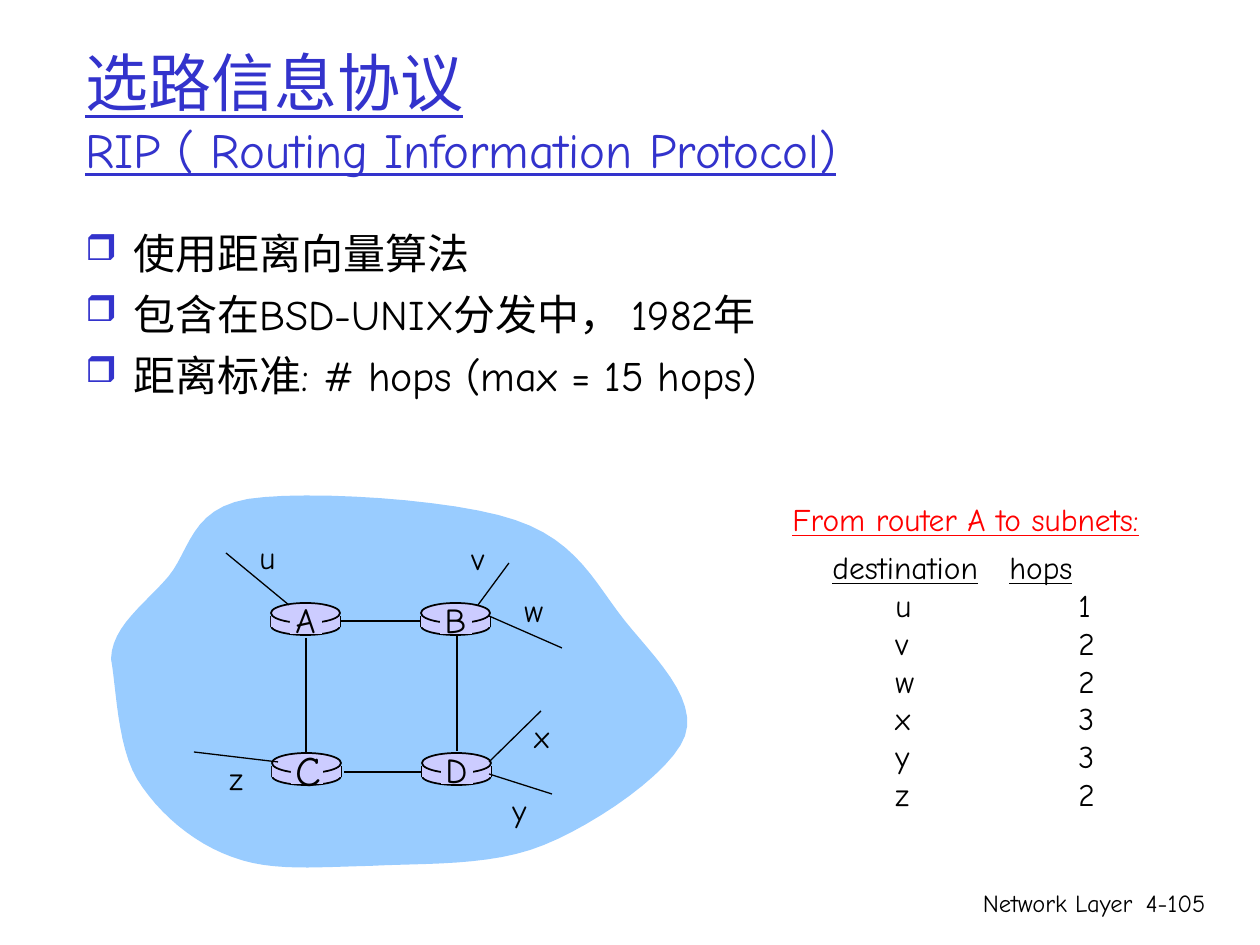
import dataclasses

import lxml.etree
import pptx
import pptx.dml.color
import pptx.enum.shapes
import pptx.enum.text
import pptx.oxml.ns
import pptx.util

SCALE = 914400 / 126
ALIGN = pptx.enum.text.PP_ALIGN
ANCHOR = pptx.enum.text.MSO_ANCHOR
SHAPE = pptx.enum.shapes.MSO_SHAPE
STRAIGHT = pptx.enum.shapes.MSO_CONNECTOR.STRAIGHT


@dataclasses.dataclass(frozen=True)
class Theme:
    """Colours, typeface and type sizes of the slide."""
    face: str = "Comic Neue"
    ink: str = "000000"
    accent: str = "3333CC"
    alert: str = "FF0000"
    cloud: str = "99CCFF"
    router: str = "CCCCFF"
    title: int = 36
    subtitle: int = 28
    body: int = 24
    node: int = 20
    label: int = 18
    footer: int = 14


THEME = Theme()


def px(*lengths):
    """Turn px lengths into a list of EMU."""
    return [pptx.util.Emu(round(length * SCALE)) for length in lengths]


def within(box, left, top, width, height):
    """Move a box given relative to another box onto the slide."""
    return box[0] + left, box[1] + top, width, height


def rgb(color):
    """Read a hexadecimal colour."""
    return pptx.dml.color.RGBColor.from_string(color)


def add_element(parent, tag, **attributes):
    """Append a DrawingML element with the given attributes."""
    return lxml.etree.SubElement(parent, pptx.oxml.ns.qn(tag), attributes)


def add_frame(slide, box, **values):
    """Add a wrapping text box and return its frame."""
    frame = slide.shapes.add_textbox(*px(*box)).text_frame
    for name, value in {"word_wrap": True, **values}.items():
        setattr(frame, name, value)
    return frame


def add_run(paragraph, text, size, color=THEME.ink, **values):
    """Add a formatted run to a paragraph."""
    run = paragraph.add_run()
    run.text = text
    settings = {"name": THEME.face, "size": pptx.util.Pt(size), **values}
    for name, value in settings.items():
        setattr(run.font, name, value)
    run.font.color.rgb = rgb(color)


def add_label(slide, box, text, size, alignment=ALIGN.LEFT, anchor=ANCHOR.TOP, **values):
    """Add a one-line label that does not wrap."""
    frame = add_frame(slide, box, word_wrap=False, vertical_anchor=anchor)
    frame.paragraphs[0].alignment = alignment
    add_run(frame.paragraphs[0], text, size, **values)


def add_line(slide, start, end, width):
    """Draw a straight line without a shadow."""
    line = slide.shapes.add_connector(STRAIGHT, *px(*start, *end))
    line.line.color.rgb = rgb(THEME.ink)
    line.line.width = pptx.util.Pt(width)
    add_element(line._element.spPr, "a:effectLst")


def paint(shape, color, outlined=False):
    """Fill a shape, with an outline if asked for."""
    shape.shadow.inherit = False
    shape.fill.solid()
    shape.fill.fore_color.rgb = rgb(color)
    if outlined:
        shape.line.color.rgb = rgb(THEME.ink)
        shape.line.width = pptx.util.Pt(1)
    else:
        shape.line.fill.background()


def add_title(slide, box):
    """Write the two-line underlined title."""
    paragraph = add_frame(slide, box, vertical_anchor=ANCHOR.MIDDLE).paragraphs[0]
    style = {"color": THEME.accent, "underline": True}
    add_run(paragraph, "选路信息协议", THEME.title, **style)
    paragraph.add_line_break()
    add_run(paragraph, "RIP ( Routing Information Protocol)", THEME.subtitle, **style)


def add_bullets(slide, box, items):
    """Write the bulleted list with hanging indents."""
    frame = add_frame(slide, box)
    hang = px(48)[0]
    for index, item in enumerate(items):
        paragraph = frame.add_paragraph() if index else frame.paragraphs[0]
        properties = paragraph._p.get_or_add_pPr()
        properties.set("marL", str(hang))
        properties.set("indent", str(-hang))
        color = add_element(properties, "a:buClr")
        add_element(color, "a:srgbClr", val=THEME.accent)
        add_element(properties, "a:buSzPct", val="85000")
        add_element(properties, "a:buChar", char="❒")
        if index:
            paragraph.space_before = pptx.util.Pt(6)
        add_run(paragraph, item, THEME.body)


def add_cloud(slide, box):
    """Draw the network cloud from a closed chain of cubic curves."""
    start = (0, 169)
    curves = [
        ((1, 136), (34, 114), (57, 87)), ((79, 61), (79, 19), (137, 9)),
        ((195, 0), (343, 9), (404, 30)), ((467, 51), (485, 95), (514, 131)),
        ((542, 166), (587, 208), (574, 246)), ((561, 282), (485, 334), (433, 355)),
        ((380, 377), (311, 373), (259, 376)), ((207, 377), (160, 382), (121, 367)),
        ((82, 353), (47, 323), (26, 289)), ((6, 256), (5, 194), start),
    ]
    steps = 12
    points = [start]
    for curve in curves:
        controls = (points[-1], *curve)
        for step in range(1, steps + 1):
            t = step / steps
            weights = ((1 - t) ** 3, 3 * t * (1 - t) ** 2, 3 * t * t * (1 - t), t ** 3)
            points.append(tuple(sum(weight * control[axis] for weight, control
                                    in zip(weights, controls)) for axis in (0, 1)))
    outline = [px(box[0] + x, box[1] + y) for x, y in points]
    builder = slide.shapes.build_freeform(*outline[0])
    builder.add_line_segments(outline[1:], close=True)
    paint(builder.convert_to_shape(), THEME.cloud)


def add_router(slide, box, name, size):
    """Draw a disc-shaped router with its letter."""
    left, top, width, height = box
    base = slide.shapes.add_shape(SHAPE.OVAL, *px(left, top + 14, width, 18))
    paint(base, THEME.router, outlined=True)
    for x in (left, left + width):
        add_line(slide, (x, top + 13), (x, top + 24), 1)
    band = slide.shapes.add_shape(SHAPE.RECTANGLE, *px(left, top + 13, width, 11))
    paint(band, THEME.router)
    lid = slide.shapes.add_shape(SHAPE.OVAL, *px(left, top, width, 20))
    paint(lid, THEME.router, outlined=True)
    plate = slide.shapes.add_shape(SHAPE.RECTANGLE, *px(left + 19, top + 2, 32, 29))
    paint(plate, THEME.router)
    add_label(slide, (left + 11, top - 11, 47, 55), name, size,
              ALIGN.CENTER, ANCHOR.MIDDLE)


def add_network(slide, box):
    """Draw the cloud, four linked routers and their subnets."""
    add_cloud(slide, box)
    for start, end in (((195, 148), (195, 264)), ((346, 146), (346, 261)),
                       ((230, 131), (311, 131)), ((233, 282), (312, 282))):
        add_line(slide, within(box, *start, 0, 0)[:2], within(box, *end, 0, 0)[:2], 1)
    routers = {"A": (160, 113, THEME.node), "B": (310, 113, THEME.node),
               "C": (161, 263, THEME.body), "D": (311, 263, THEME.node)}
    for name, (left, top, size) in routers.items():
        add_router(slide, within(box, left, top, 69, 32), name, size)
    subnets = {
        "u": ((178, 115), (115, 63), (136, 42)), "v": ((367, 115), (398, 73), (348, 43)),
        "w": ((378, 126), (451, 158), (401, 95)), "x": ((378, 272), (430, 221), (411, 221)),
        "y": ((378, 284), (441, 304), (389, 295)), "z": ((167, 272), (83, 262), (106, 263)),
    }
    for name, (start, end, label) in subnets.items():
        add_line(slide, within(box, *start, 0, 0)[:2], within(box, *end, 0, 0)[:2], 0.75)
        add_label(slide, within(box, *label, 40, 50), name, THEME.label)


def add_hop_list(slide, box, hops):
    """List the destinations and hop counts on tab stops under a heading."""
    add_label(slide, within(box, 0, 0, 374, 50), "From router A to subnets:",
              THEME.label, color=THEME.alert, underline=True)
    frame = add_frame(slide, within(box, 40, 48, 300, 300))
    rows = [(("destination", True), ("\t", False), ("hops", True))]
    rows += [((f"\t{name}\t{count}", False),) for name, count in hops.items()]
    for index, row in enumerate(rows):
        paragraph = frame.add_paragraph() if index else frame.paragraphs[0]
        tabs = add_element(paragraph._p.get_or_add_pPr(), "a:tabLst")
        for stop in px(63, 246) if index else px(177):
            add_element(tabs, "a:tab", pos=str(stop), algn="l")
        for text, underline in row:
            add_run(paragraph, text, THEME.label, underline=underline)


def add_footer(slide, box):
    """Write the chapter name and page number."""
    for text, left, width in (("Network Layer", 0, 399), ("4-105", 379, 93)):
        add_label(slide, within(box, left, 0, width, box[3]), text, THEME.footer, ALIGN.RIGHT)


def main():
    """Build and save the slide."""
    presentation = pptx.Presentation()
    presentation.slide_width, presentation.slide_height = px(1260, 945)
    slide = presentation.slides.add_slide(presentation.slide_layouts[6])
    add_footer(slide, (746, 882, 472, 63))
    add_title(slide, (73, 32, 1126, 158))
    add_bullets(slide, (73, 221, 1134, 233), (
        "使用距离向量算法", "包含在BSD-UNIX分发中， 1982年",
        "距离标准: # hops (max = 15 hops)"))
    add_network(slide, (111, 490, 588, 381))
    add_hop_list(slide, (780, 494, 374, 348), {"u": 1, "v": 2, "w": 2, "x": 3, "y": 3, "z": 2})
    presentation.save("out.pptx")


if __name__ == "__main__":
    main()
